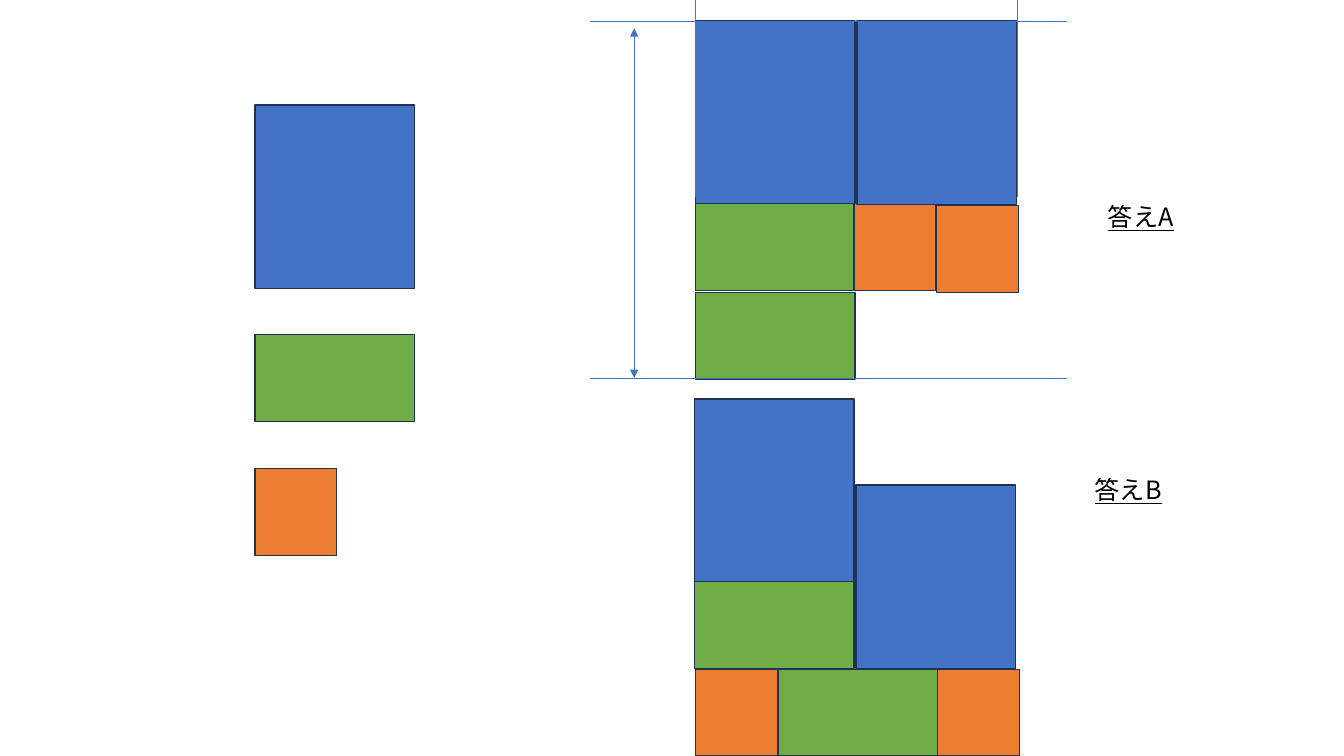
from lxml.etree import SubElement
from pptx import Presentation
from pptx.dml.color import RGBColor
from pptx.enum.shapes import MSO_CONNECTOR as Connector, MSO_SHAPE as Shape
from pptx.enum.text import MSO_AUTO_SIZE as AutoSize
from pptx.oxml.ns import qn
from pptx.util import Pt

PX = 9144
BLUE = RGBColor(0x44, 0x72, 0xC4)
GREEN = RGBColor(0x70, 0xAD, 0x47)
ORANGE = RGBColor(0xED, 0x7D, 0x31)
OUTLINE = RGBColor(0x1E, 0x32, 0x56)
BLACK = RGBColor(0, 0, 0)
FONT = "Noto Sans CJK JP"
SIZES = {BLUE: (158, 182), GREEN: (158, 86), ORANGE: (81, 86)}

deck = Presentation()
deck.slide_width, deck.slide_height = 1333 * PX, 750 * PX
page = deck.slides.add_slide(deck.slide_layouts[6])


def add_tiles(shapes, tiles):
    for color, left, top in tiles:
        width, height = SIZES[color]
        tile = shapes.add_shape(Shape.RECTANGLE, left * PX, top * PX, width * PX, height * PX)
        tile.shadow.inherit = False
        tile.fill.solid()
        tile.fill.fore_color.rgb = color
        tile.line.color.rgb = OUTLINE
        tile.line.width = Pt(1)


def add_guide(start_x, start_y, end_x, end_y):
    guide = page.shapes.add_connector(
        Connector.STRAIGHT, start_x * PX, start_y * PX, end_x * PX, end_y * PX)
    guide.line.color.rgb = BLUE
    guide.line.width = Pt(0.5)
    SubElement(guide._element.spPr, qn("a:effectLst"))
    return guide


pieces = [(BLUE, 253, 104), (GREEN, 253, 332), (ORANGE, 253, 465)]
answer_b = [(BLUE, 689, 396), (GREEN, 689, 577), (ORANGE, 690, 664),
            (BLUE, 849, 481), (GREEN, 772, 664), (ORANGE, 930, 664)]
answer_a = [(BLUE, 690, 21), (GREEN, 690, 202), (ORANGE, 847, 202),
            (BLUE, 850, 21), (GREEN, 690, 290), (ORANGE, 929, 204)]

add_tiles(page.shapes, pieces)
add_tiles(page.shapes.add_group_shape().shapes, answer_b)
add_tiles(page.shapes, answer_a)

for label, left, top in [("答えA", 1089, 195), ("答えB", 1076, 466)]:
    box = page.shapes.add_textbox(left * PX, top * PX, 100 * PX, 40 * PX)
    box.text_frame.text = label
    box.text_frame.word_wrap = False
    box.text_frame.auto_size = AutoSize.SHAPE_TO_FIT_TEXT
    span = box.text_frame.paragraphs[0].runs[0]
    span.font.size = Pt(18)
    span.font.underline = True
    span.font.color.rgb = BLACK
    span.font.name = FONT
    SubElement(span.font._element, qn("a:ea"), typeface=FONT)

for level in (375, 21):
    add_guide(585, level, 1058, level)

height_arrow = add_guide(629, 375, 629, 28)
for end in ("a:headEnd", "a:tailEnd"):
    SubElement(height_arrow.line._get_or_add_ln(), qn(end), type="triangle")

for edge in (690, 1009):
    add_guide(edge, -42, edge, 195)

deck.save("out.pptx")
